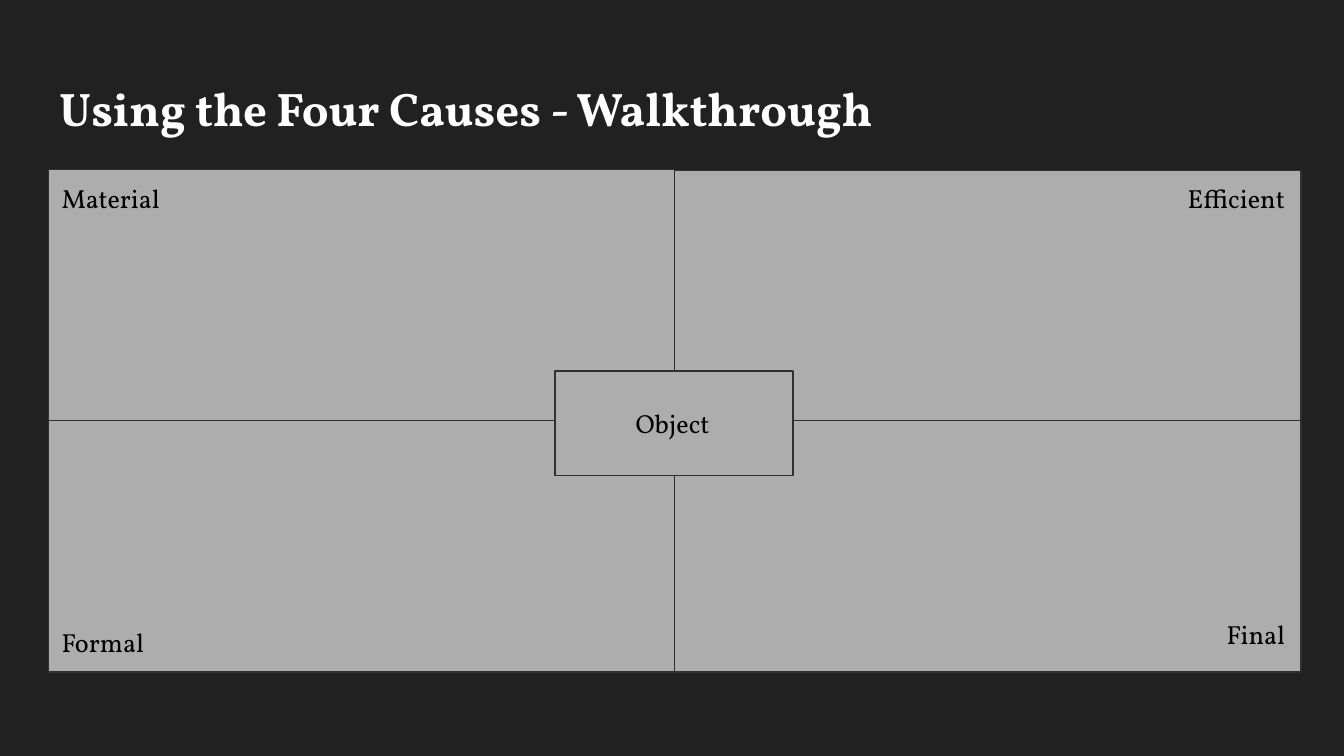
from pptx import Presentation
from pptx import util as u
from pptx.dml import color
from pptx.enum import shapes, text

COLORS = {"page": "212121", "panel": "ADADAD", "edge": "303030",
          "title": "FFFFFF", "label": "000000"}
FONT = "Vollkorn"
ALIGN = text.PP_ALIGN
PAGE_WIDTH = 10
PAGE_HEIGHT = PAGE_WIDTH * 9 / 16


def rgb(name):
    return color.RGBColor.from_string(COLORS[name])


def inches(box):
    return [u.Inches(value) for value in box]


def write(shape, words, size, ink, align=ALIGN.LEFT, bold=False):
    frame = shape.text_frame
    settings = {"word_wrap": True, "vertical_anchor": text.MSO_ANCHOR.TOP,
                "auto_size": text.MSO_AUTO_SIZE.NONE}
    for side in ("left", "top", "right", "bottom"):
        settings[f"margin_{side}"] = u.Inches(0.1)
    for name, value in settings.items():
        setattr(frame, name, value)
    para = frame.paragraphs[0]
    para.alignment = align
    span = para.add_run()
    span.text = words
    for name, value in {"name": FONT, "size": u.Pt(size), "bold": bold}.items():
        setattr(span.font, name, value)
    span.font.color.rgb = rgb(ink)


def add_title(page, box):
    title = page.shapes.title
    for name, value in zip(("left", "top", "width", "height"), inches(box)):
        setattr(title, name, value)
    write(title, "Using the Four Causes - Walkthrough", 25.2, "title", bold=True)


def add_panel(parent, box):
    panel = parent.add_shape(shapes.MSO_SHAPE.RECTANGLE, *inches(box))
    panel.shadow.inherit = False
    panel.fill.solid()
    panel.fill.fore_color.rgb = rgb("panel")
    panel.line.color.rgb = rgb("edge")
    panel.line.width = u.Pt(0.75)


def add_label(page, words, box, align):
    label = page.shapes.add_textbox(*inches(box))
    write(label, words, 14, "label", align)
    label.text_frame.auto_size = text.MSO_AUTO_SIZE.SHAPE_TO_FIT_TEXT


def add_quadrants(page, box):
    left, top, width, height = box
    half_width, half_height = width / 2, height / 2
    group = page.shapes.add_group_shape()
    for row in range(2):
        for column in range(2):
            nudge = 0.01 if (row, column) == (0, 1) else 0
            add_panel(group.shapes, (left + column * half_width,
                                     top + row * half_height + nudge,
                                     half_width, half_height))
    add_panel(page.shapes, (left + 3.77, top + 1.5, 1.77, 0.78))
    labels = [("Material", 0, 0, 1.29, ALIGN.LEFT),
              ("Efficient", 6.99, 0, 2.31, ALIGN.RIGHT),
              ("Final", 6.99, 3.24, 2.31, ALIGN.RIGHT),
              ("Formal", 0, 3.3, 1.29, ALIGN.LEFT),
              ("Object", 4, 1.67, 1.29, ALIGN.CENTER)]
    for words, across, down, label_width, align in labels:
        add_label(page, words, (left + across, top + down, label_width, 0.44), align)


def main():
    deck = Presentation()
    deck.slide_width, deck.slide_height = inches((PAGE_WIDTH, PAGE_HEIGHT))
    page = deck.slides.add_slide(deck.slide_layouts[5])
    page.background.fill.solid()
    page.background.fill.fore_color.rgb = rgb("page")
    add_title(page, (0.34, 0.49, 9.32, 0.63))
    add_quadrants(page, (0.36, 1.26, 9.32, 3.74))
    deck.save("out.pptx")


if __name__ == "__main__":
    main()
